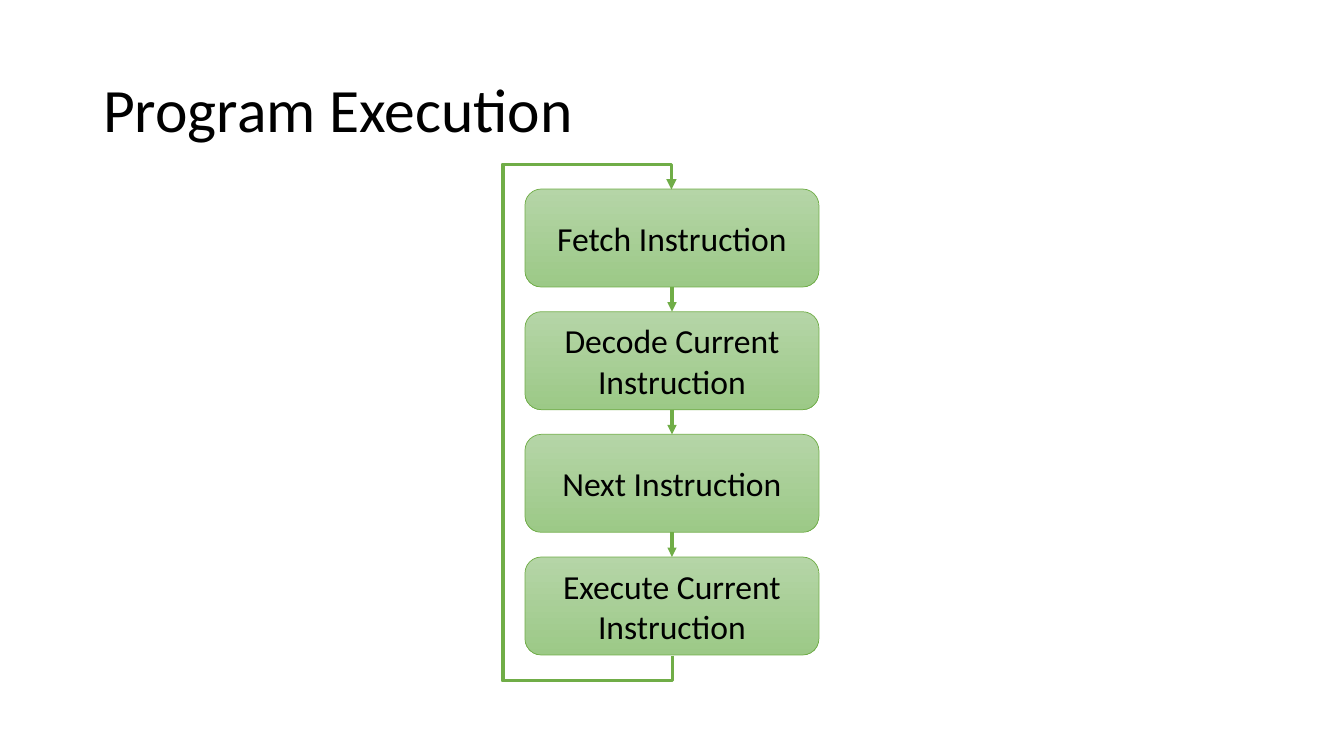
from itertools import pairwise

from lxml.etree import SubElement
from pptx import Presentation
from pptx.dml.color import RGBColor
from pptx.enum.shapes import MSO_CONNECTOR as Connector, MSO_SHAPE as Shape
from pptx.enum.text import MSO_ANCHOR as Anchor, PP_ALIGN as Align
from pptx.oxml.ns import qn
from pptx.util import Pt

# Content
TITLE = "Program Execution"
STEPS = [
    "Fetch Instruction",
    "Decode Current Instruction",
    "Next Instruction",
    "Execute Current Instruction",
]
COLORS = {"text": "000000", "line": "70AD47", "top": "B5D5A7", "bottom": "9CC987"}
FONT = "Calibri"

# Layout in px
SLIDE_WIDTH, SLIDE_HEIGHT = 1344, 756
TITLE_BOX = (93, 40, 1159, 146)
STEP_LEFT, STEP_WIDTH, STEP_HEIGHT = 525, 294, 98
FIRST_TOP, LAST_TOP = 189, 557
LOOP_LEFT, LOOP_OVERHANG = 501, 25


def px(length):
    return round(length * 914400 / 100.8)


def color(name):
    return RGBColor.from_string(COLORS[name])


def style_text(paragraph, size, align):
    paragraph.alignment = align
    paragraph.font.name = FONT
    paragraph.font.size = Pt(size)
    paragraph.font.color.rgb = color("text")


def add_step(slide, text, top):
    shape = slide.shapes.add_shape(
        Shape.ROUNDED_RECTANGLE, px(STEP_LEFT), px(top), px(STEP_WIDTH), px(STEP_HEIGHT))
    shape.shadow.inherit = False
    shape.fill.gradient()
    shape.fill.gradient_angle = 270
    for stop, name in zip(shape.fill.gradient_stops, ("top", "bottom")):
        stop.color.rgb = color(name)
    shape.line.color.rgb = color("line")
    shape.line.width = Pt(0.5)
    frame = shape.text_frame
    frame.word_wrap = True
    frame.vertical_anchor = Anchor.MIDDLE
    frame.text = text
    style_text(frame.paragraphs[0], 24, Align.CENTER)
    return shape


def add_arrow(slide, kind, start, end, width):
    arrow = slide.shapes.add_connector(kind, *map(px, start + end))
    arrow.line.color.rgb = color("line")
    arrow.line.width = Pt(width)
    properties = arrow._element.spPr
    SubElement(properties.find(qn("a:ln")), qn("a:tailEnd"), type="triangle")
    SubElement(properties, qn("a:effectLst"))
    return arrow


def add_loop(slide):
    """Five-part elbow from the last step, round the left side, to the first."""
    center = STEP_LEFT + STEP_WIDTH // 2
    length = LAST_TOP + STEP_HEIGHT - FIRST_TOP
    middle = FIRST_TOP + length // 2
    # Drawn lying down, one px high, then turned upright
    loop = add_arrow(slide, Connector.ELBOW, (center + length // 2, middle),
                     (center - length // 2, middle + 1), 2.5)
    loop.rotation = 90
    loop._element.spPr.find(qn("a:xfrm")).set("rot", str(90 * 60000))
    geometry = loop._element.spPr.find(qn("a:prstGeom"))
    geometry.set("prst", "bentConnector5")
    guides = geometry.find(qn("a:avLst"))
    overhang = LOOP_OVERHANG / length
    for number, ratio in enumerate((-overhang, center - LOOP_LEFT, 1 + overhang), 1):
        SubElement(guides, qn("a:gd"), name=f"adj{number}",
                   fmla=f"val {round(ratio * 100000)}")


def main():
    presentation = Presentation()
    presentation.slide_width, presentation.slide_height = px(SLIDE_WIDTH), px(SLIDE_HEIGHT)
    slide = presentation.slides.add_slide(presentation.slide_layouts[5])

    # Title
    title = slide.shapes.title
    title.left, title.top, title.width, title.height = map(px, TITLE_BOX)
    title.text_frame.text = TITLE
    title.text_frame.vertical_anchor = Anchor.MIDDLE
    style_text(title.text_frame.paragraphs[0], 44, Align.LEFT)
    title.text_frame.paragraphs[0].line_spacing = 0.9

    # Steps
    pitch = (LAST_TOP - FIRST_TOP) / (len(STEPS) - 1)
    tops = [FIRST_TOP + index * pitch for index in range(len(STEPS))]
    steps = [add_step(slide, text, top) for text, top in zip(STEPS, tops)]

    # Arrows between steps, joined bottom to top
    for upper, lower in pairwise(steps):
        arrow = add_arrow(slide, Connector.STRAIGHT, (0, 0), (0, 0), 2.25)
        arrow.begin_connect(upper, 2)
        arrow.end_connect(lower, 0)

    # Loop back to the first step
    add_loop(slide)
    presentation.save("out.pptx")


if __name__ == "__main__":
    main()
